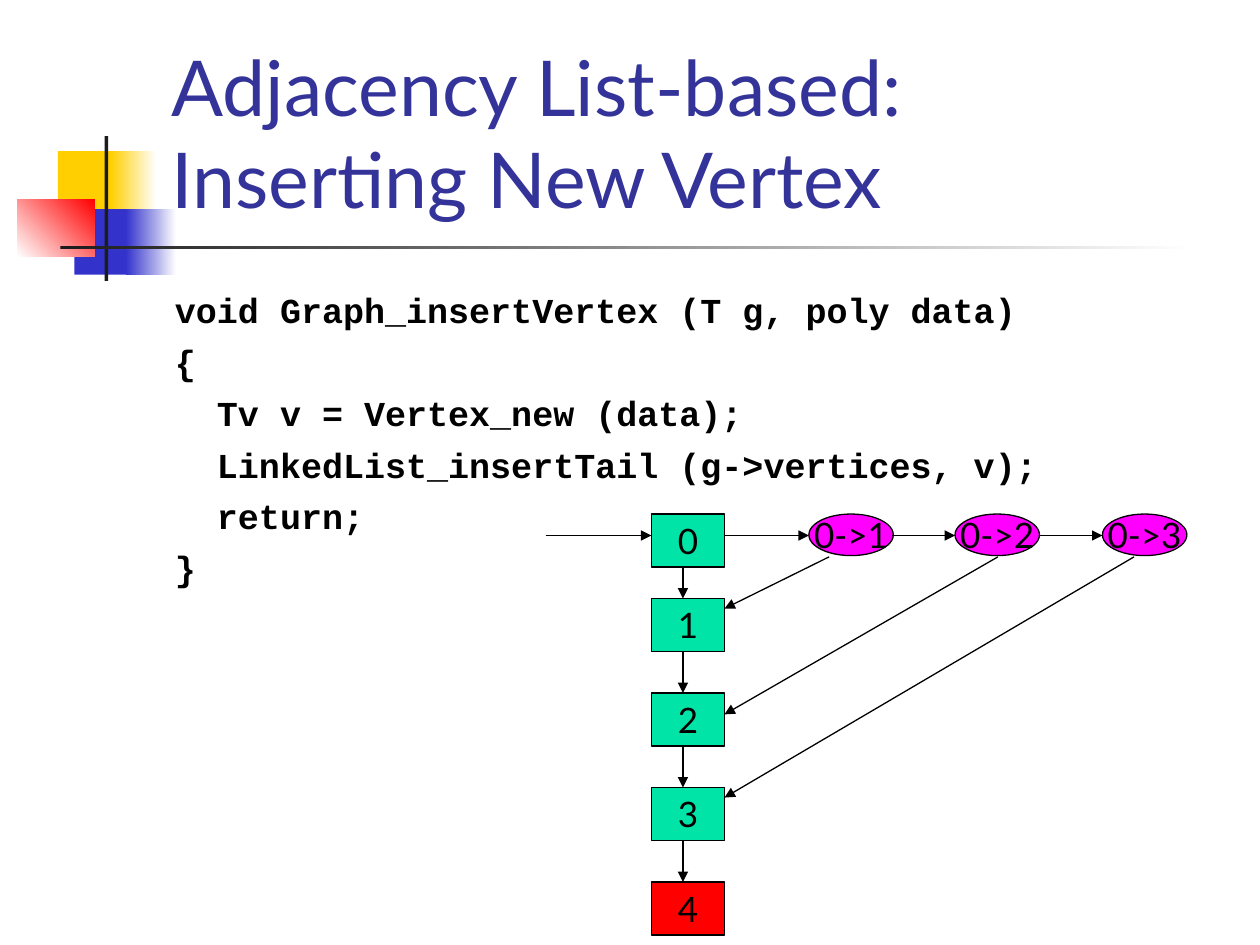
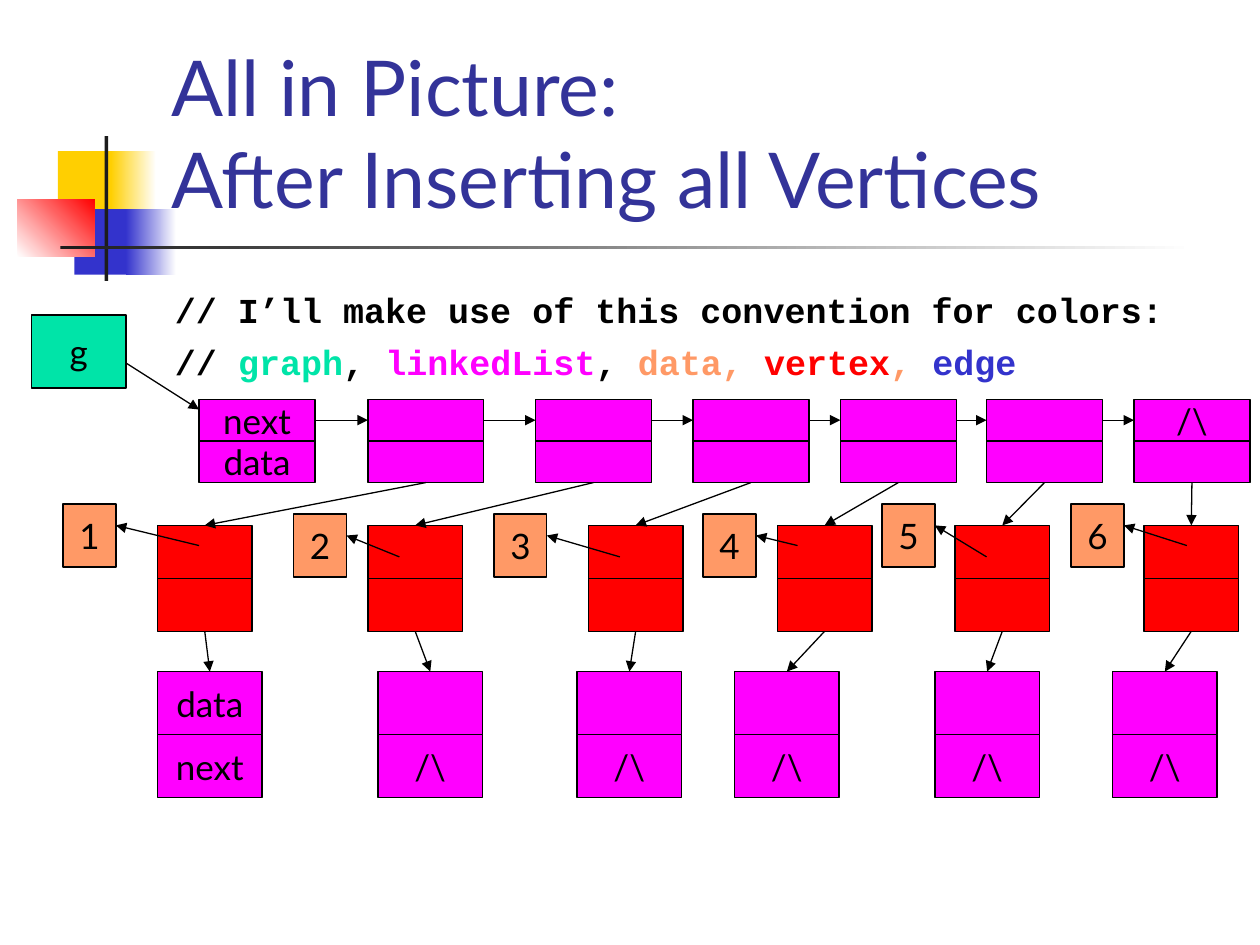
from itertools import pairwise

from lxml import etree
from pptx import Presentation
from pptx.dml.color import RGBColor
from pptx.enum.shapes import MSO_CONNECTOR as Link, MSO_SHAPE as Kind
from pptx.enum.text import MSO_ANCHOR as Anchor, MSO_AUTO_SIZE as Fit, PP_ALIGN as Align
from pptx.oxml.ns import qn
from pptx.util import Inches, Pt

HUES = {
    "title": "333399", "ink": "000000", "paper": "FFFFFF", "rule": "1C1C1C",
    "gold": "FFCF01", "graph": "00E4A8", "list": "FF00FF", "data": "FF9966",
    "vertex": "FF0000", "edge": "3333CC",
}
SANS, MONO = "Lato", "Courier New"
TOP, LEFT, BASE, RIGHT = range(4)
NULL = "/\\"

# Shared decoration: left, top, width, height, hue, end hue, angle
DECOR = [
    (0.46, 1.2, 0.48, 0.52, "gold", None, 0),
    (0.88, 1.2, 0.36, 0.52, "gold", "paper", 0),
    (0.59, 1.66, 0.46, 0.52, "edge", None, 0),
    (1, 1.66, 0.4, 0.52, "edge", "paper", 0),
    (0.14, 1.58, 0.61, 0.46, "paper", "vertex", 45),
    (0.83, 1.08, 0.03, 1.15, "rule", None, 0),
    (0.48, 1.95, 9, 0.03, "rule", "paper", 0),
]


def rgb(hue):
    return RGBColor.from_string(HUES[hue])


def write(par, text, size=20, font=SANS, hue="ink", bold=False):
    """Add text to a paragraph; a newline becomes a line break."""
    for num, part in enumerate(text.split("\n")):
        if num:
            par.add_line_break()
        run = par.add_run()
        run.text = part
        run.font.size, run.font.name, run.font.bold = Pt(size), font, bold
        run.font.color.rgb = rgb(hue)


def block(slide, x, y, w, h, hue, kind=Kind.RECTANGLE):
    shape = slide.shapes.add_shape(kind, *map(Inches, (x, y, w, h)))
    shape.shadow.inherit = False
    shape.fill.solid()
    shape.fill.fore_color.rgb = rgb(hue)
    return shape


def node(slide, x, y, w, h, hue, text="", kind=Kind.RECTANGLE):
    """Draw an outlined shape with a centred label."""
    shape = block(slide, x, y, w, h, hue, kind)
    shape.line.color.rgb = rgb("ink")
    shape.line.width = Pt(0.75)
    if text:
        frame = shape.text_frame
        frame.word_wrap = False
        frame.vertical_anchor = Anchor.MIDDLE
        frame.margin_top = frame.margin_bottom = 0
        par = frame.paragraphs[0]
        par.alignment = Align.CENTER
        write(par, text)
    return shape


def stack(slide, x, y, w, h, hue, texts=("", "")):
    """Draw two cells, one on the other."""
    return [node(slide, x, y + num * h, w, h, hue, text)
            for num, text in enumerate(texts)]


def arrow(slide, start, end):
    line = slide.shapes.add_connector(Link.STRAIGHT, *map(Inches, (*start, *end)))
    line.line.color.rgb = rgb("ink")
    line.line.width = Pt(0.75)
    tip = etree.SubElement(line.line._get_or_add_ln(), qn("a:tailEnd"))
    tip.set("type", "triangle")
    etree.SubElement(line._element.spPr, qn("a:effectLst"))
    return line


def join(slide, src, out, dst, into):
    line = arrow(slide, (0, 0), (1, 1))
    line.begin_connect(src, out)
    line.end_connect(dst, into)


def code(slide, lines):
    """Each line is a list of (text, hue) pieces."""
    box = slide.shapes.add_textbox(*map(Inches, (1.29, 2.24, 8.5, 4.5)))
    frame = box.text_frame
    frame.word_wrap = True
    for num, line in enumerate(lines):
        par = frame.add_paragraph() if num else frame.paragraphs[0]
        par.space_before = Pt(5.5 if num else 0)
        for text, hue in line:
            write(par, text, font=MONO, hue=hue, bold=True)


def page(deck, text):
    """Start a slide with the shared decoration and title style."""
    slide = deck.slides.add_slide(deck.slide_layouts[5])
    for *area, hue, end, angle in DECOR:
        shape = block(slide, *area, hue)
        shape.line.fill.background()
        if end:
            shape.fill.gradient()
            shape.fill.gradient_angle = angle
            for stop, tone in zip(shape.fill.gradient_stops, (hue, end)):
                stop.color.rgb = rgb(tone)
    title = slide.shapes.title
    title.left, title.top, title.width, title.height = map(
        Inches, (1.26, 0.23, 8.52, 1.6))
    frame = title.text_frame
    frame.auto_size = Fit.NONE
    frame.vertical_anchor = Anchor.BOTTOM
    par = frame.paragraphs[0]
    par.alignment = Align.LEFT
    write(par, text, size=44, hue="title")
    return slide


def insert(deck):
    slide = page(deck, "Adjacency List-based:\nInserting New Vertex")
    lines = [
        "void Graph_insertVertex (T g, poly data)",
        "{",
        "  Tv v = Vertex_new (data);",
        "  LinkedList_insertTail (g->vertices, v);",
        "  return;",
        "}",
    ]
    code(slide, [[(line, "ink")] for line in lines])

    # Vertex column, the new vertex last
    tops = [4.08, 4.75, 5.5, 6.25, 7]
    for num, top in enumerate(tops):
        hue = "vertex" if top == tops[-1] else "graph"
        node(slide, 5.17, top, 0.58, 0.42, hue, str(num))
    for high, low in pairwise(tops):
        arrow(slide, (5.42, high + 0.42), (5.42, low))

    # Edge row, each edge pointing at its vertex
    edges = [(6.42, 6.58, 4.83), (7.58, 7.92, 5.67), (8.75, 9, 6.33)]
    for num, (x, start, end) in enumerate(edges, 1):
        node(slide, x, 4.08, 0.67, 0.33, "list", f"0->{num}", Kind.OVAL)
        arrow(slide, (start, 4.42), (5.75, end))
    for start, end in [(4.33, 5.17), (5.75, 6.42), (7.08, 7.58), (8.25, 8.75)]:
        arrow(slide, (start, 4.25), (end, 4.25))


def picture(deck):
    slide = page(deck, "All in Picture:\nAfter Inserting all Vertices")
    code(slide, [
        [("// I’ll make use of this convention for colors:", "ink")],
        [("// ", "ink"), ("graph", "graph"), (", ", "ink"), ("linkedList", "list"),
         (", ", "ink"), ("data, ", "data"), ("vertex", "vertex"), (", ", "data"),
         ("edge", "edge")],
    ])

    # Graph and its list of vertices
    arrow(slide, (0.92, 2.83), (1.58, 3.25))
    node(slide, 0.25, 2.5, 0.75, 0.58, "graph", "g")
    spots = [1.58, 2.92, 4.25, 5.5, 6.67, 7.83, 9]
    words = [("next", "data")] + [("", "")] * 5 + [(NULL, "")]
    chain = [stack(slide, x, 3.17, 0.92, 0.33, "list", pair)
             for x, pair in zip(spots, words)]
    for (src, _), (dst, _) in pairwise(chain):
        join(slide, src, RIGHT, dst, LEFT)

    # Vertex x, edge list x, tag left and top, tag arrow start
    items = [
        (1.25, 1.25, 0.5, 4, (1.58, 4.33)),
        (2.92, 3, 2.33, 4.08, (3.17, 4.42)),
        (4.67, 4.58, 3.92, 4.08, (4.92, 4.42)),
        (6.17, 5.83, 5.58, 4.08, (6.33, 4.33)),
        (7.58, 7.42, 7, 4, (7.83, 4.42)),
        (9.08, 8.83, 8.5, 4, (9.42, 4.33)),
    ]
    for num, (x, low, left, top, start) in enumerate(items, 1):
        head, foot = stack(slide, x, 4.17, 0.75, 0.42, "vertex")
        pair = ("data", "next") if num == 1 else ("", NULL)
        edge, _ = stack(slide, low, 5.33, 0.83, 0.5, "list", pair)
        join(slide, chain[num][1], BASE, head, TOP)
        join(slide, foot, BASE, edge, TOP)
        node(slide, left, top, 0.42, 0.5, "data", str(num))
        arrow(slide, start, (left + 0.42, top + 0.17))


def main():
    deck = Presentation()
    deck.slide_width, deck.slide_height = Inches(10), Inches(7.5)
    insert(deck)
    picture(deck)
    deck.save("out.pptx")


if __name__ == "__main__":
    main()
